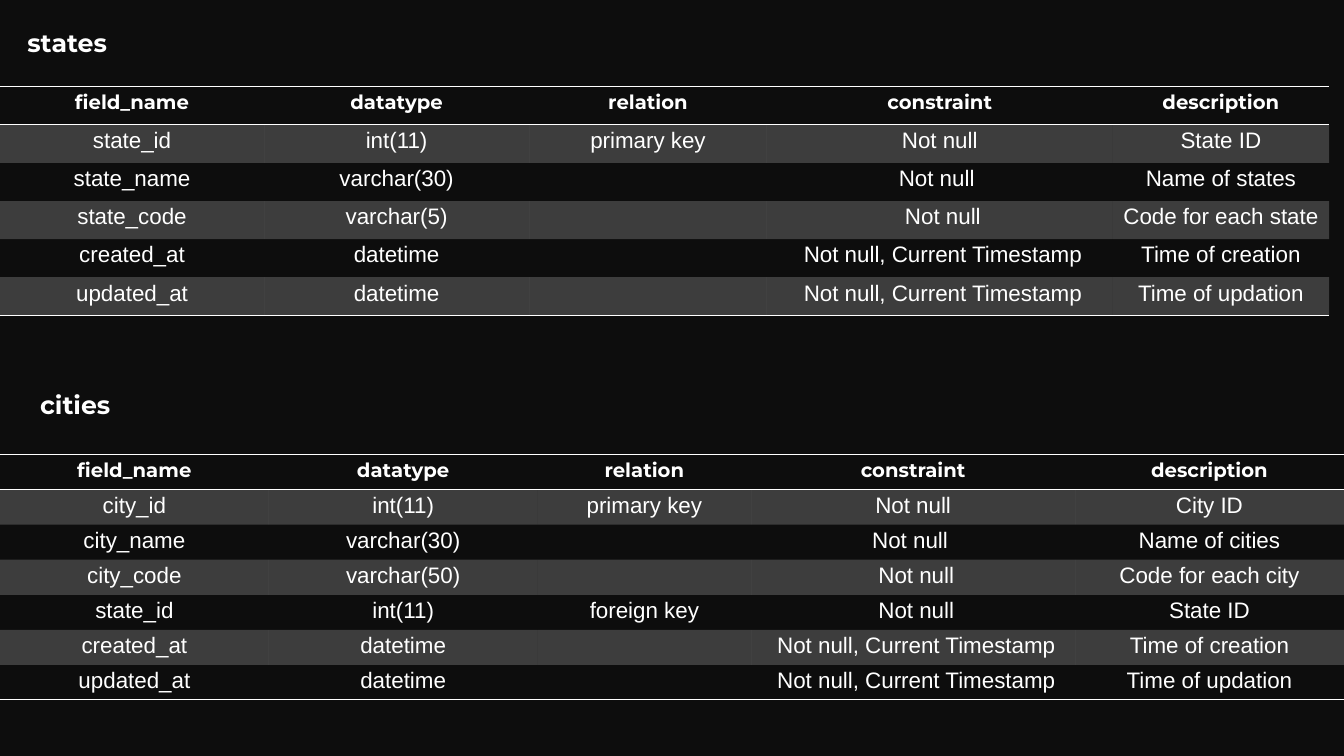
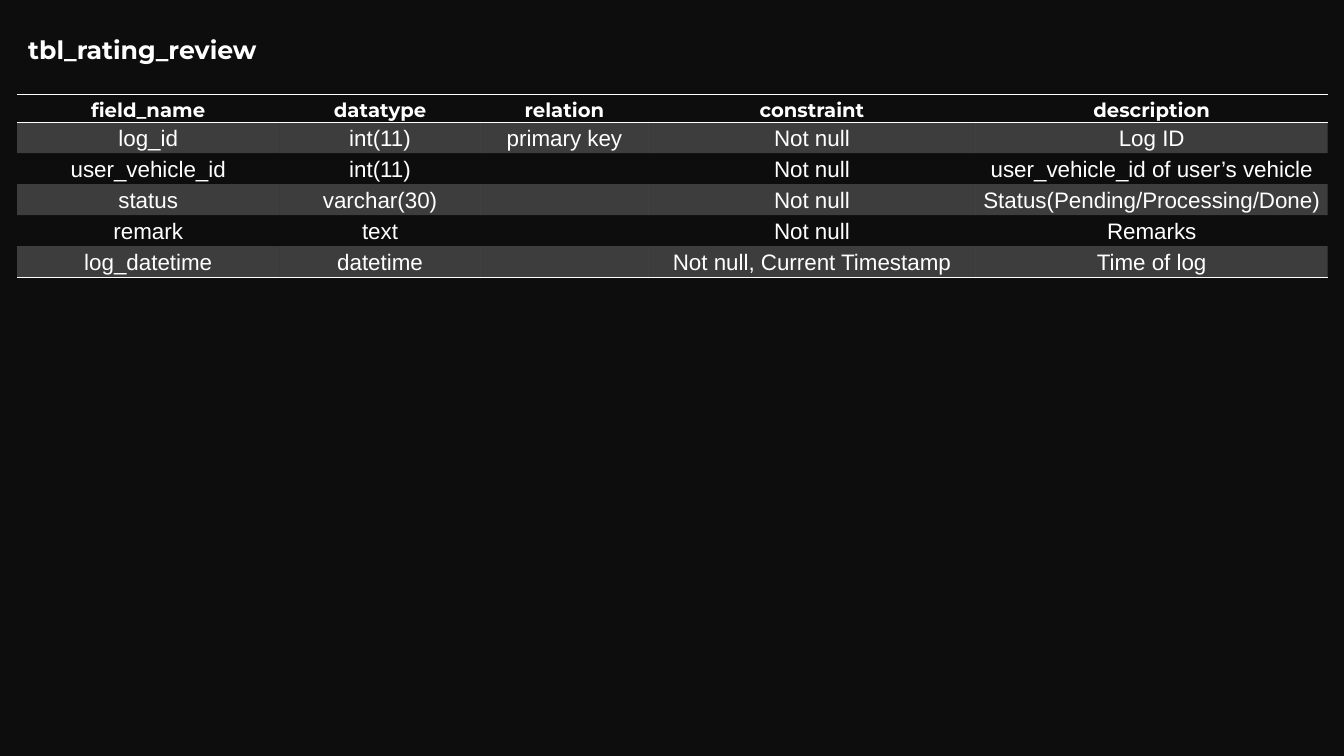
import pptx
import pptx.util
import pptx.dml.color
import pptx.enum.text
import pptx.oxml
import pptx.oxml.ns

COLORS = {"ground": "0D0D0D", "ink": "FFFFFF", "band": "FFFFFF"}
HEADINGS = ["field_name", "datatype", "relation", "constraint", "description"]
NO_STYLE = "{2D5ABB26-0587-4C30-8999-92F81FD0307C}"

# Field definitions, one row per database column
STATES = [
    ["state_id", "int(11)", "primary key", "Not null", "State ID"],
    ["state_name", "varchar(30)", "", "Not null ", "Name of states"],
    ["state_code", "varchar(5)", "", " Not null", "Code for each state"],
    ["created_at", "datetime", "", " Not null, Current Timestamp", "Time of creation"],
    ["updated_at", "datetime", "", " Not null, Current Timestamp", "Time of updation"],
]
CITIES = [
    ["city_id", "int(11)", "primary key", "Not null", "City ID"],
    ["city_name", "varchar(30)", "", "Not null ", "Name of cities"],
    ["city_code", "varchar(50)", "", " Not null", "Code for each city"],
    ["state_id", "int(11)", "foreign key", " Not null", "State ID"],
    ["created_at", "datetime", "", " Not null, Current Timestamp", "Time of creation"],
    ["updated_at", "datetime", "", " Not null, Current Timestamp", "Time of updation"],
]
REVIEWS = [
    ["log_id", "int(11)", "primary key", "Not null", "Log ID"],
    ["user_vehicle_id", "int(11)", "", "Not null", "user_vehicle_id of user’s vehicle"],
    ["status", "varchar(30)", "", "Not null", "Status(Pending/Processing/Done)"],
    ["remark", "text", "", "Not null", "Remarks"],
    ["log_datetime", "datetime", "", "Not null, Current Timestamp", "Time of log"],
]


def color(name):
    return pptx.dml.color.RGBColor.from_string(COLORS[name])


class SchemaDeck:
    """Holds the style and the current page; lengths are percent of the slide."""

    def __init__(self):
        self.deck = pptx.Presentation()
        self.deck.slide_width = pptx.util.Inches(13.33)
        self.deck.slide_height = pptx.util.Inches(7.5)
        ground = self.deck.slide_master.background.fill
        ground.solid()
        ground.fore_color.rgb = color("ground")
        self.page = None

    def across(self, share):
        return round(self.deck.slide_width * share / 100)

    def down(self, share):
        return round(self.deck.slide_height * share / 100)

    def add_page(self):
        self.page = self.deck.slides.add_slide(self.deck.slide_layouts[5])

    def add_text(self, para, text, font, size, bold):
        span = para.add_run()
        span.text = text
        span.font.name = font
        span.font.size = pptx.util.Pt(size)
        span.font.bold = bold
        span.font.color.rgb = color("ink")

    # Headings above the tables
    def style_heading(self, box, text, left, top):
        box.left, box.top = self.across(left), self.down(top)
        box.width, box.height = self.across(30), self.down(5.5)
        frame = box.text_frame
        frame.word_wrap = True
        frame.auto_size = pptx.enum.text.MSO_AUTO_SIZE.NONE
        frame.vertical_anchor = pptx.enum.text.MSO_ANCHOR.TOP
        para = frame.paragraphs[0]
        para.alignment = pptx.enum.text.PP_ALIGN.LEFT
        self.add_text(para, text, "Montserrat", 18, True)

    def add_title(self, text, left, top):
        self.style_heading(self.page.shapes.title, text, left, top)

    def add_subtitle(self, text, left, top):
        box = self.page.shapes.add_textbox(0, 0, 0, 0)
        self.style_heading(box, text, left, top)

    # Tables
    def add_fields(self, records, left, top, columns, head_height, row_height):
        rows = [HEADINGS] + records
        heights = [head_height] + [row_height] * len(records)
        frame = self.page.shapes.add_table(
            len(rows), len(columns), self.across(left), self.down(top),
            self.across(sum(columns)), self.down(sum(heights)))
        table = frame.table
        table.horz_banding = False
        frame._element.xpath(".//a:tableStyleId")[0].text = NO_STYLE
        for column, width in zip(table.columns, columns):
            column.width = self.across(width)
        for index, (row, height) in enumerate(zip(table.rows, heights)):
            row.height = self.down(height)
            edges = []
            if index == 0:
                edges = ["lnT", "lnB"]
            elif index == len(records):
                edges = ["lnB"]
            for cell, text in zip(row.cells, rows[index]):
                self.fill_cell(cell, text, index)
                self.rule_cell(cell, edges)

    def fill_cell(self, cell, text, index):
        cell.margin_left = cell.margin_right = self.across(0.5)
        cell.margin_top = cell.margin_bottom = 0
        if index % 2:
            cell.fill.solid()
            cell.fill.fore_color.rgb = color("band")
            tint = cell._tc.xpath("./a:tcPr/a:solidFill/a:srgbClr")[0]
            tint.append(pptx.oxml.parse_xml(
                f'<a:alpha {pptx.oxml.ns.nsdecls("a")} val="20000"/>'))
        else:
            cell.fill.background()
        if not text:
            return
        para = cell.text_frame.paragraphs[0]
        para.alignment = pptx.enum.text.PP_ALIGN.CENTER
        para.line_spacing = 1.15
        para.space_after = pptx.util.Pt(10)
        if index == 0:
            self.add_text(para, text, "Montserrat", 14, True)
        else:
            self.add_text(para, text, "Arial", 16, False)

    def rule_cell(self, cell, edges):
        properties = cell._tc.get_or_add_tcPr()
        for place, edge in enumerate(edges):
            properties.insert(place, pptx.oxml.parse_xml(
                f'<a:{edge} {pptx.oxml.ns.nsdecls("a")} w="12700"><a:solidFill>'
                f'<a:srgbClr val="{COLORS["ink"]}"/></a:solidFill></a:{edge}>'))


def main():
    schema = SchemaDeck()

    # States and cities
    schema.add_page()
    schema.add_title("states", 1.28, 2.93)
    schema.add_fields(STATES, 0, 11.47, [19.65, 19.72, 17.7, 25.72, 16.12], 5.04, 5.04)
    schema.add_subtitle("cities", 2.25, 50.8)
    schema.add_fields(CITIES, 0, 60.13, [20, 20, 15.9, 24.1, 20], 4.64, 4.64)

    # Ratings and reviews
    schema.add_page()
    schema.add_title("tbl_rating_review", 1.35, 3.87)
    schema.add_fields(REVIEWS, 1.28, 12.53, [19.5, 15, 12.45, 24.38, 26.18], 3.6, 4.1)

    schema.deck.save("out.pptx")


if __name__ == "__main__":
    main()
